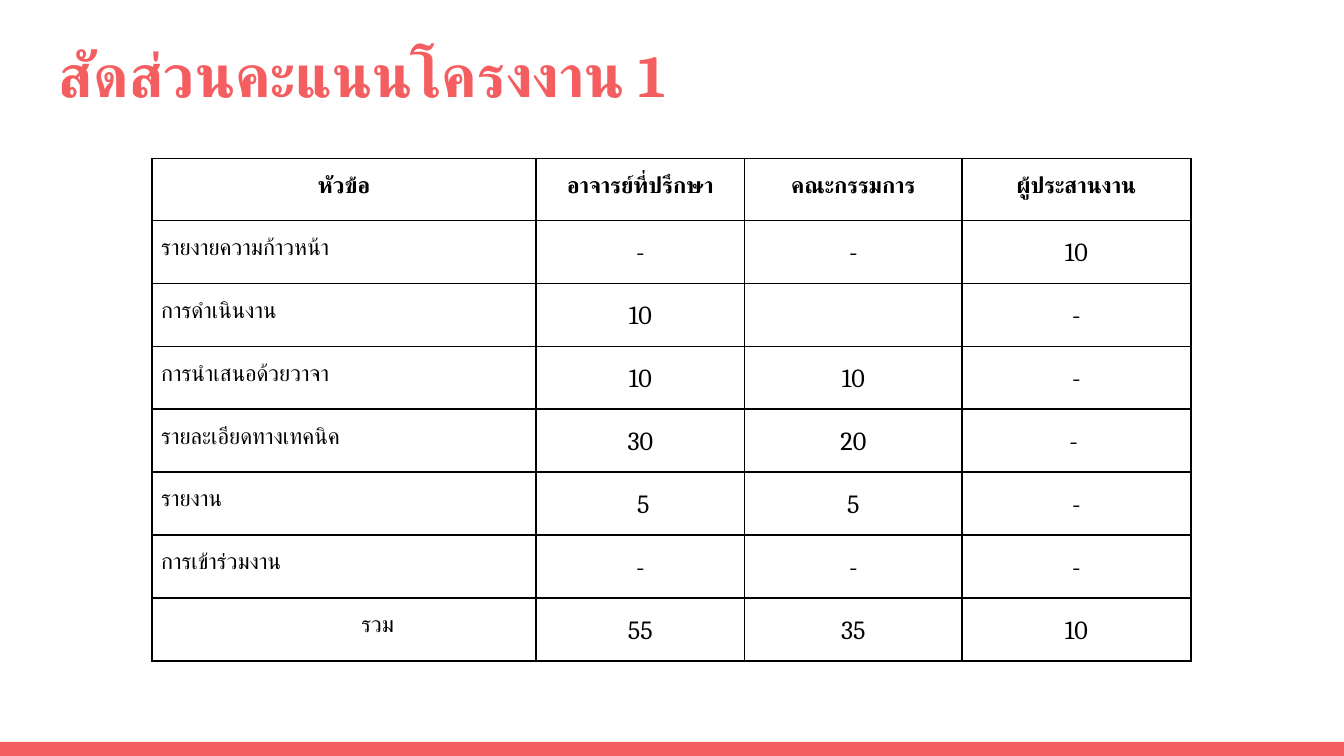
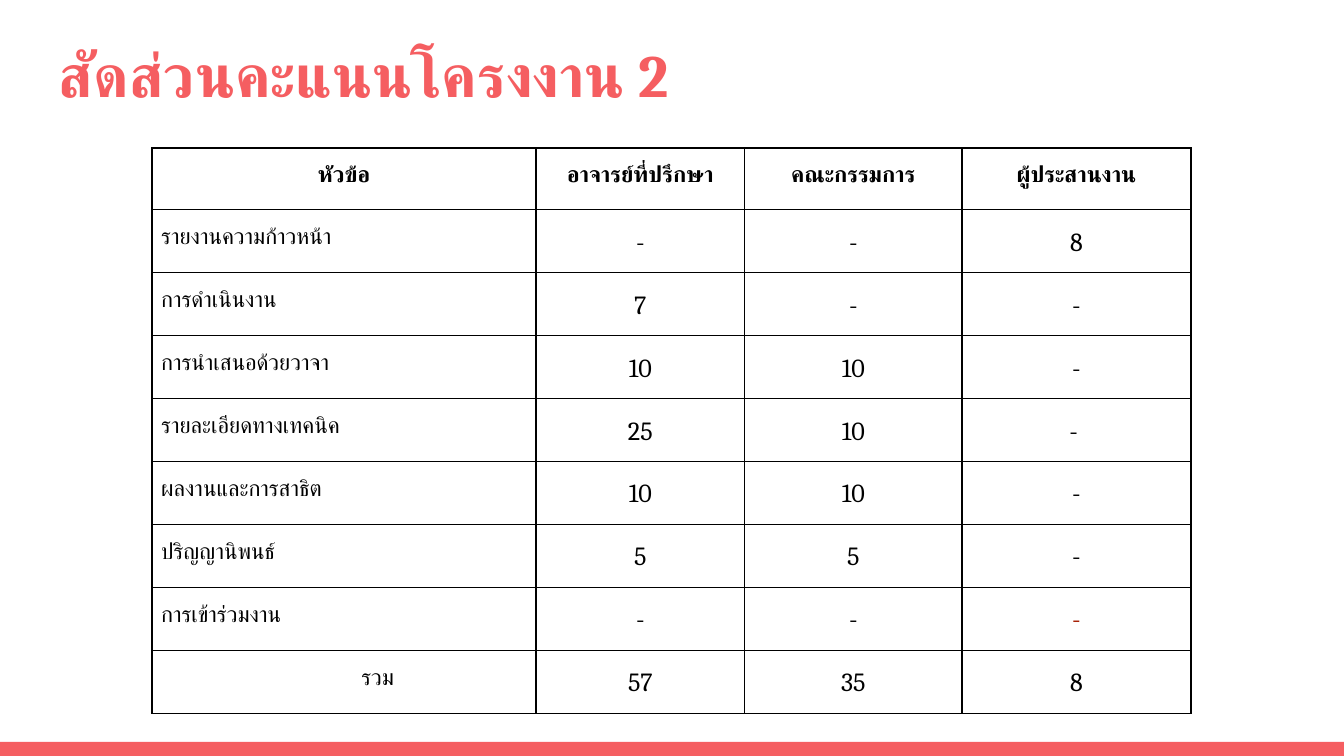
from lxml import etree
from pptx import Presentation
from pptx import util as u
from pptx.dml.color import RGBColor
from pptx.enum import shapes, text
from pptx.oxml.ns import qn

CORAL, BLACK, DARK_RED = "F55E61", "000000", "A61C00"
FONT = "Cambria"
COLUMNS = [2.86, 1.55, 1.62, 1.7]
ROW_HEIGHT = 0.46
HEADER = ["หัวข้อ", "อาจารย์ที่ปรึกษา", "คณะกรรมการ", "ผู้ประสานงาน"]


def color(value):
    return RGBColor.from_string(value)


def assign(target, values):
    for name, value in values.items():
        setattr(target, name, value)


class Deck:
    title_font = {"size": u.Pt(32), "bold": True}
    header_font = {"size": u.Pt(12), "bold": True}
    label_font = {"size": u.Pt(12), "bold": False}
    score_font = {"size": u.Pt(14), "bold": False}
    title_frame = dict.fromkeys(
        ["margin_left", "margin_right", "margin_top", "margin_bottom"], u.Inches(0.1))
    score_frame = {**title_frame, "margin_left": u.Inches(0.07), "margin_right": u.Inches(0.07)}
    label_frame = {**score_frame, "margin_top": u.Inches(0.08)}

    def __init__(self):
        self.prs = Presentation()
        self.prs.slide_width = u.Inches(10)
        self.prs.slide_height = u.Inches(10) * 9 // 16
        self.s = None

    def slide(self, title):
        self.s = self.prs.slides.add_slide(self.prs.slide_layouts[6])
        self.band()
        self.title(title)

    def band(self):
        sp = self.s.shapes.add_shape(
            shapes.MSO_SHAPE.RECTANGLE, 0, u.Inches(5.52), u.Inches(10), u.Inches(0.11))
        sp.shadow.inherit = False
        sp.fill.solid()
        sp.fill.fore_color.rgb = color(CORAL)
        sp.line.fill.background()

    def title(self, words):
        sp = self.s.shapes.add_textbox(
            u.Inches(0.34), u.Inches(0.18), u.Inches(9.32), u.Inches(0.68))
        tf = sp.text_frame
        assign(tf, {**self.title_frame, "word_wrap": True})
        self.run(tf.paragraphs[0], words, self.title_font, CORAL)

    def run(self, p, words, font, ink=BLACK):
        r = p.add_run()
        r.text = words
        assign(r.font, {**font, "name": FONT})
        r.font.color.rgb = color(ink)
        for tag in ("a:ea", "a:cs"):
            etree.SubElement(r.font._element, qn(tag), typeface=FONT)

    def borders(self, cell):
        tc_pr = cell._tc.get_or_add_tcPr()
        for side in ("a:lnL", "a:lnR", "a:lnT", "a:lnB"):
            ln = etree.SubElement(tc_pr, qn(side), w=str(u.Pt(1)))
            fill = etree.SubElement(ln, qn("a:solidFill"))
            etree.SubElement(fill, qn("a:srgbClr"), val=BLACK)

    def cell(self, cell, words, font, centered=True, indent=0, ink=BLACK):
        self.borders(cell)
        cell.fill.background()
        assign(cell, self.score_frame if font is self.score_font else self.label_frame)
        p = cell.text_frame.paragraphs[0]
        align = text.PP_ALIGN.CENTER if centered else text.PP_ALIGN.LEFT
        assign(p, {"alignment": align, "line_spacing": 1.15})
        if indent:
            p._p.get_or_add_pPr().set("marL", str(u.Inches(indent)))
        if words:
            self.run(p, words, font, ink)
        else:
            end = etree.SubElement(p._p, qn("a:endParaRPr"), sz=str(int(font["size"].pt * 100)))
            etree.SubElement(end, qn("a:latin"), typeface=FONT)

    def table(self, top, scores, inks=None):
        rows = [HEADER, *scores]
        frame = self.s.shapes.add_table(
            len(rows), len(COLUMNS), u.Inches(1.13), u.Inches(top),
            u.Inches(sum(COLUMNS)), u.Inches(ROW_HEIGHT * len(rows)))
        table = frame.table
        assign(table, {"first_row": False, "horz_banding": False})
        for column, width in zip(table.columns, COLUMNS):
            column.width = u.Inches(width)
        for i, row in enumerate(rows):
            table.rows[i].height = u.Inches(ROW_HEIGHT)
            total = i == len(rows) - 1
            for j, words in enumerate(row):
                label = j == 0
                font = self.header_font if i == 0 else self.label_font if label else self.score_font
                self.cell(
                    table.cell(i, j), words, font,
                    centered=i == 0 or total or not label,
                    indent=0.5 if total and label else 0,
                    ink=(inks or {}).get((i, j), BLACK))


def main():
    deck = Deck()
    deck.slide("สัดส่วนคะแนนโครงงาน 1")
    deck.table(1.18, [
        ["รายงายความก้าวหน้า", "-", "-", "10"],
        ["การดำเนินงาน", "10", "", "-"],
        ["การนำเสนอด้วยวาจา", "10", "10", "-"],
        ["รายละเอียดทางเทคนิค", "30", "20", "- "],
        ["รายงาน", " 5", "5", "-"],
        ["การเข้าร่วมงาน", "-", "-", "-"],
        ["รวม", "55", "35", "10"],
    ])
    deck.slide("สัดส่วนคะแนนโครงงาน 2")
    deck.table(1.1, [
        ["รายงานความก้าวหน้า", "-", "-", "8"],
        ["การดำเนินงาน", "7", "-", "-"],
        ["การนำเสนอด้วยวาจา", "10", "10", "-"],
        ["รายละเอียดทางเทคนิค", "25", "10", "- "],
        ["ผลงานและการสาธิต", "10", "10", "-"],
        ["ปริญญานิพนธ์", "5", "5", "-"],
        ["การเข้าร่วมงาน", "-", "-", "-"],
        ["รวม", "57", "35", "8"],
    ], inks={(7, 3): DARK_RED})
    deck.prs.save("out.pptx")


if __name__ == "__main__":
    main()
